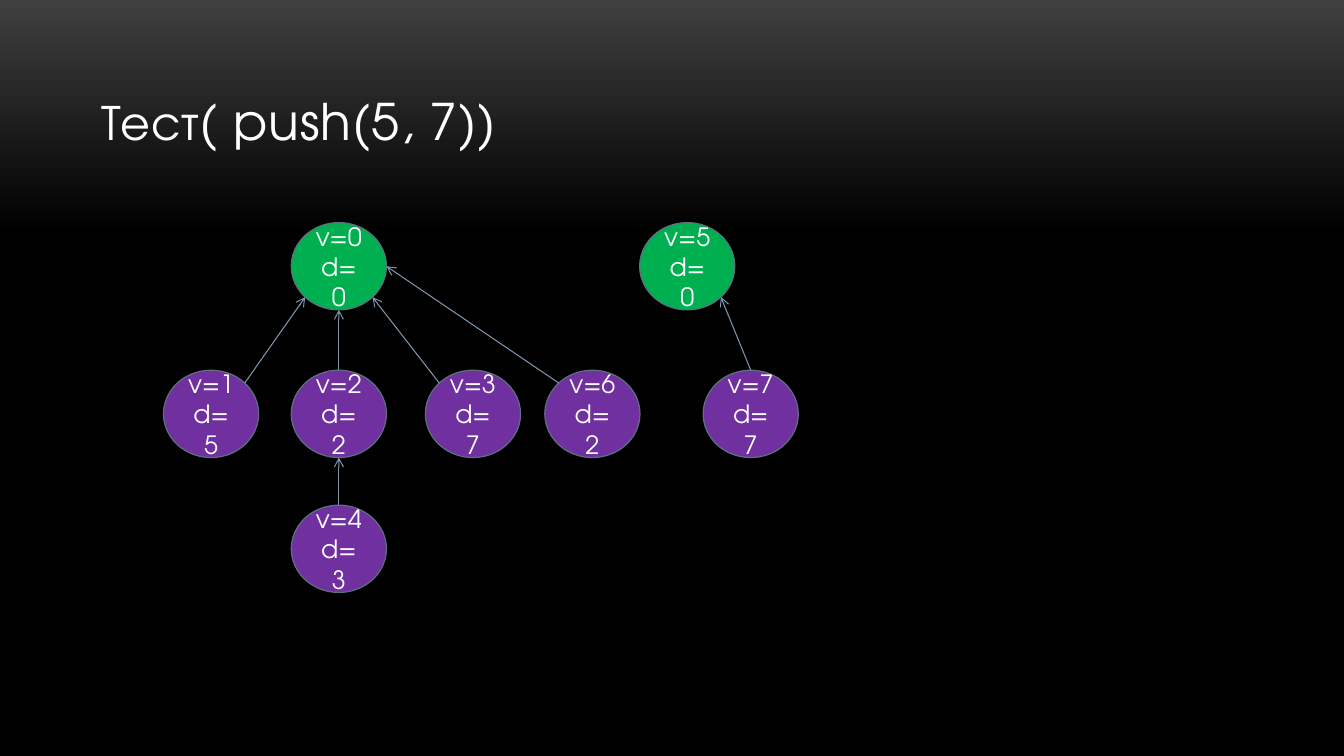
import copy
import dataclasses
import enum
import math
import typing

import pptx
import pptx.dml.color
import pptx.enum.shapes
import pptx.enum.text
import pptx.oxml
import pptx.oxml.ns
import pptx.shapes.autoshape
import pptx.slide
import pptx.util
from pptx.util import Cm

FONT_NAME = "TeX Gyre Adventor"
COLORS = {
    "glow": "3F3F3F",
    "background": "000000",
    "text": "FFFFFF",
    "root": "00B050",
    "child": "7030A0",
    "outline": "5D7080",
    "arrow": "7E97AD",
}
NODE_WIDTH, NODE_HEIGHT = Cm(2.4), Cm(2.2)
LEVEL_TOPS = [Cm(5.61), Cm(9.33), Cm(12.73)]


class Site(enum.IntEnum):
    """Connection sites of an ellipse, counterclockwise from the top."""

    TOP = 0
    TOP_LEFT = 1
    BOTTOM_LEFT = 3
    BOTTOM = 4
    BOTTOM_RIGHT = 5
    RIGHT = 6
    TOP_RIGHT = 7


@dataclasses.dataclass(frozen=True)
class Node:
    """A tree vertex with its distance, left edge in cm and level."""

    vertex: int
    distance: int
    left: float
    level: int


@dataclasses.dataclass(frozen=True)
class Edge:
    """An arrow from a child vertex to its parent."""

    child: int
    child_site: Site
    parent: int
    parent_site: Site


NODES = [
    Node(0, 0, 7.34, 0),
    Node(1, 5, 4.12, 1),
    Node(2, 2, 7.34, 1),
    Node(3, 7, 10.72, 1),
    Node(4, 3, 7.34, 2),
    Node(5, 0, 16.12, 0),
    Node(6, 2, 13.73, 1),
    Node(7, 7, 17.72, 1),
]
EDGES = [
    Edge(1, Site.TOP_RIGHT, 0, Site.BOTTOM_LEFT),
    Edge(2, Site.TOP, 0, Site.BOTTOM),
    Edge(3, Site.TOP_LEFT, 0, Site.BOTTOM_RIGHT),
    Edge(4, Site.TOP, 2, Site.BOTTOM),
    Edge(6, Site.TOP_LEFT, 0, Site.RIGHT),
    Edge(7, Site.TOP, 5, Site.BOTTOM_RIGHT),
]


def rgb(name: str) -> pptx.dml.color.RGBColor:
    """Return a named colour."""
    return pptx.dml.color.RGBColor.from_string(COLORS[name])


def apply_format(target: typing.Any, values: dict[str, typing.Any]) -> None:
    """Set every attribute in values on the target."""
    for name, value in values.items():
        setattr(target, name, value)


def format_font(font: typing.Any, size: int) -> None:
    """Give a font the common typeface and colour."""
    apply_format(font, {"name": FONT_NAME, "size": pptx.util.Pt(size), "bold": False})
    font.color.rgb = rgb("text")


def draw_background(slide: pptx.slide.Slide) -> None:
    """Fill the background with a glow fading down to black."""
    fill = slide.background.fill
    fill.gradient()
    fill.gradient_angle = 270
    first, second = fill.gradient_stops
    first.color.rgb, second.color.rgb = rgb("glow"), rgb("background")
    first.position, second.position = 0, 0.31
    stops = slide.element.find(".//" + pptx.oxml.ns.qn("a:gsLst"))
    last = copy.deepcopy(stops[-1])
    last.set("pos", "100000")
    stops.append(last)


def draw_title(slide: pptx.slide.Slide, text: str) -> None:
    """Place and format the title placeholder."""
    title = slide.shapes.title
    apply_format(title, {
        "left": Cm(2.26), "top": Cm(0.76), "width": Cm(29.34), "height": Cm(3.18),
    })
    apply_format(title.text_frame, {
        "text": text,
        "word_wrap": True,
        "auto_size": pptx.enum.text.MSO_AUTO_SIZE.NONE,
        "vertical_anchor": pptx.enum.text.MSO_ANCHOR.BOTTOM,
        "margin_left": Cm(0.3), "margin_right": Cm(0.3),
        "margin_top": Cm(0.15), "margin_bottom": Cm(0.15),
    })
    paragraph = title.text_frame.paragraphs[0]
    paragraph.alignment = pptx.enum.text.PP_ALIGN.LEFT
    format_font(paragraph.runs[0].font, 36)
    paragraph.runs[0].font._element.set("spc", "60")


def draw_node(slide: pptx.slide.Slide, node: Node) -> pptx.shapes.autoshape.Shape:
    """Draw a vertex as a labelled ellipse."""
    shape = slide.shapes.add_shape(
        pptx.enum.shapes.MSO_SHAPE.OVAL,
        Cm(node.left), LEVEL_TOPS[node.level], NODE_WIDTH, NODE_HEIGHT,
    )
    shape.shadow.inherit = False
    shape.fill.solid()
    shape.fill.fore_color.rgb = rgb("child" if node.level else "root")
    shape.line.color.rgb = rgb("outline")
    shape.line.width = pptx.util.Pt(0.85)
    shape.text_frame.word_wrap = True
    shape.text_frame.text = f"v={node.vertex}\nd={node.distance}"
    for paragraph in shape.text_frame.paragraphs:
        paragraph.alignment = pptx.enum.text.PP_ALIGN.CENTER
        format_font(paragraph.runs[0].font, 18)
    return shape


def site_point(shape: pptx.shapes.autoshape.Shape, site: Site) -> tuple[int, int]:
    """Return the position of a connection site on an ellipse."""
    angle = math.radians(90 + 45 * site)
    return (
        round(shape.left + shape.width * (1 + math.cos(angle)) / 2),
        round(shape.top + shape.height * (1 - math.sin(angle)) / 2),
    )


def draw_edge(
    slide: pptx.slide.Slide, edge: Edge, shapes: dict[int, pptx.shapes.autoshape.Shape]
) -> None:
    """Draw an arrow glued to the child and the parent."""
    child, parent = shapes[edge.child], shapes[edge.parent]
    connector = slide.shapes.add_connector(
        pptx.enum.shapes.MSO_CONNECTOR.STRAIGHT,
        *site_point(child, edge.child_site), *site_point(parent, edge.parent_site),
    )
    connector.line.color.rgb = rgb("arrow")
    connector.line.width = pptx.util.Pt(0.75)
    qn = pptx.oxml.ns.qn
    glue = connector.element.find(".//" + qn("p:cNvCxnSpPr"))
    ends = [("a:stCxn", child, edge.child_site), ("a:endCxn", parent, edge.parent_site)]
    for tag, shape, site in ends:
        end = glue.makeelement(qn(tag), {"id": str(shape.shape_id), "idx": str(site.value)})
        glue.append(end)
    line = connector.line._get_or_add_ln()
    line.append(line.makeelement(qn("a:tailEnd"), {"type": "arrow"}))
    properties = connector.element.spPr
    properties.append(properties.makeelement(qn("a:effectLst"), {}))


def main() -> None:
    """Build and save the slide."""
    presentation = pptx.Presentation()
    presentation.slide_width, presentation.slide_height = Cm(33.87), Cm(19.05)
    slide = presentation.slides.add_slide(presentation.slide_layouts[5])
    draw_background(slide)
    draw_title(slide, "Тест( push(5, 7))")
    shapes = {node.vertex: draw_node(slide, node) for node in NODES}
    for edge in EDGES:
        draw_edge(slide, edge, shapes)
    presentation.save("out.pptx")


main()
